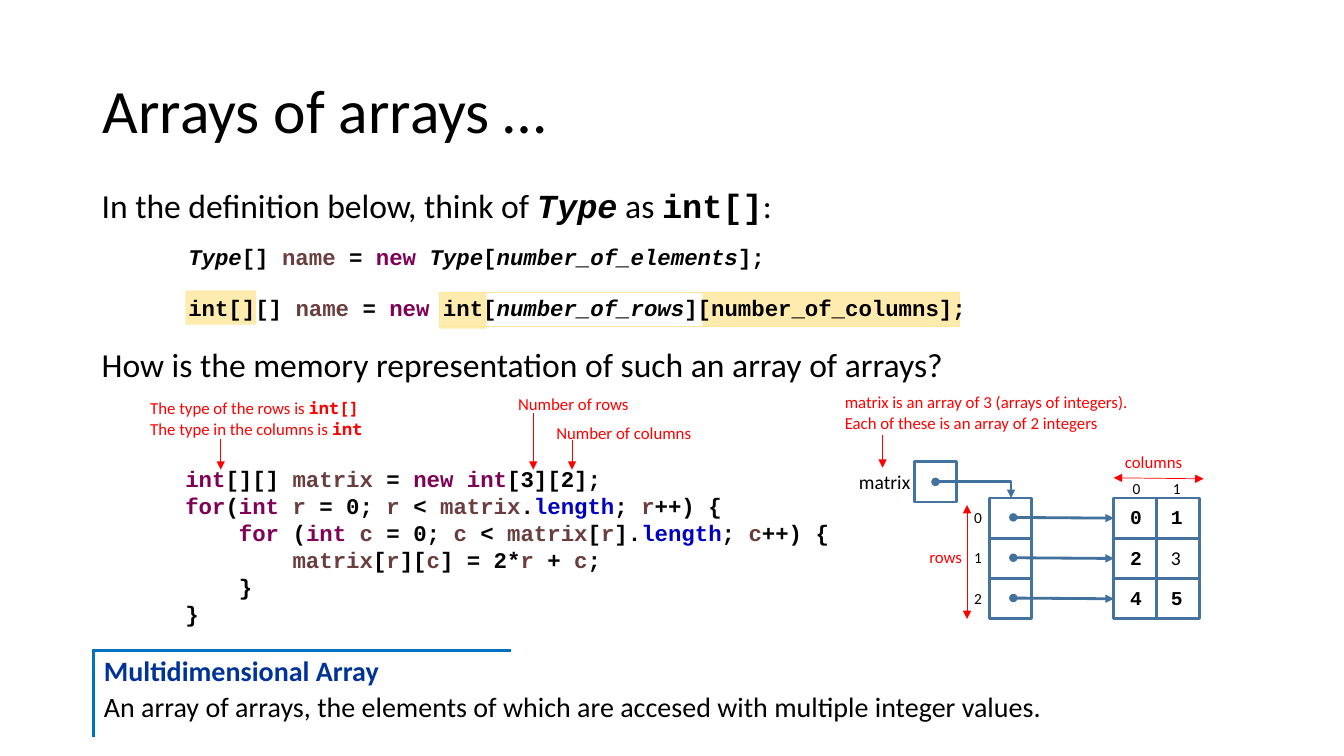
from itertools import groupby

from lxml.etree import SubElement
from pptx import Presentation
from pptx.dml.color import RGBColor
from pptx.enum.shapes import MSO_CONNECTOR, MSO_SHAPE
from pptx.enum.text import MSO_ANCHOR, MSO_AUTO_SIZE, PP_ALIGN
from pptx.oxml.ns import qn
from pptx.util import Pt

COLORS = {
    "text": "000000", "keyword": "7F0055", "variable": "6A3E3E", "field": "0000C0",
    "note": "FF0000", "highlight": "FFE699", "cell": "43739E", "reference": "41719C",
    "rule": "0070C0", "term": "003399",
}
BODY, CODE, MONO = "Calibri", "Courier New", "Noto Sans Mono"

VARIABLES = dict.fromkeys(["matrix", "name", "r", "c"], "variable")
KEYWORDS = dict.fromkeys(["int", "new", "for"], "keyword")
PROGRAM_WORDS = {**VARIABLES, **KEYWORDS, "length": "field"}
DEFINITION_WORDS = {
    "name": "variable", "new": "keyword", "Type": "italic",
    "number_of_elements": "italic", "number_of_rows": "italic",
}

PROGRAM = [
    "int[][] matrix = new int[3][2];",
    "for(int r = 0; r < matrix.length; r++) {",
    "    for (int c = 0; c < matrix[r].length; c++) {",
    "        matrix[r][c] = 2*r + c;",
    "    }",
    "}",
]

CELL_HEIGHT, CELL_WIDTH = 28.8, 30.3
ROWS_LEFT, GRID_LEFT, GRID_TOP = 706.8, 795.6, 355.7
COLUMN_PITCH = 30.9


def rgb(name):
    return RGBColor.from_string(COLORS[name])


def write(paragraph, pieces, size, color):
    for text, style in pieces:
        run = paragraph.add_run()
        run.text = text
        font = run.font
        font.size = Pt(size)
        font.name = style.get("font", BODY)
        font.bold = style.get("bold", False)
        font.italic = style.get("italic", False)
        font.color.rgb = rgb(style.get("color", color))


def highlight(line, words):
    parts = ["".join(part) for _, part in groupby(line, lambda ch: ch.isalnum() or ch == "_")]
    pieces = []
    for kind, part in groupby(parts, lambda word: words.get(word, "text")):
        style = {"font": CODE, "bold": True, "italic": kind == "italic"}
        style["color"] = "text" if kind == "italic" else kind
        pieces.append(("".join(part), style))
    return pieces


def add_text(slide, box, lines, size, color="text", inset=None, align=None, wrap=True):
    frame = slide.shapes.add_textbox(*map(Pt, box)).text_frame
    frame.word_wrap = wrap
    frame.auto_size = MSO_AUTO_SIZE.SHAPE_TO_FIT_TEXT
    if inset is not None:
        frame.margin_left = frame.margin_right = Pt(inset)
        frame.margin_top = frame.margin_bottom = Pt(inset)
    for index, pieces in enumerate(lines):
        paragraph = frame.add_paragraph() if index else frame.paragraphs[0]
        paragraph.alignment = align
        write(paragraph, pieces, size, color)


def add_code(slide, box, lines, words):
    add_text(slide, box, [highlight(line, words) for line in lines], 16)


def add_note(slide, box, *lines):
    add_text(slide, box, [[(line, {})] if isinstance(line, str) else line for line in lines],
             12, "note", inset=0)


def add_index(slide, left, top, index):
    add_text(slide, (left, top, 12.2, 13.7), [[(str(index), {})]], 11,
             inset=0, align=PP_ALIGN.CENTER)


def add_box(slide, box, fill=None, line=None, width=2):
    shape = slide.shapes.add_shape(MSO_SHAPE.RECTANGLE, *map(Pt, box))
    shape.shadow.inherit = False
    if fill:
        shape.fill.solid()
        shape.fill.fore_color.rgb = rgb(fill)
        SubElement(shape.fill._xPr.find(".//" + qn("a:srgbClr")), qn("a:alpha"), val="80000")
    else:
        shape.fill.background()
    if line:
        shape.line.color.rgb = rgb(line)
        shape.line.width = Pt(width)
    else:
        shape.line.fill.background()


def add_cell(slide, left, top):
    add_box(slide, (left, top, CELL_WIDTH, CELL_HEIGHT), line="cell")


def add_arrow(slide, start, end, color="note", width=0.5, head=None, bent=False):
    kind = MSO_CONNECTOR.ELBOW if bent else MSO_CONNECTOR.STRAIGHT
    arrow = slide.shapes.add_connector(kind, *map(Pt, start + end))
    arrow.line.color.rgb = rgb(color)
    arrow.line.width = Pt(width)
    properties = arrow._element.spPr
    if bent:
        properties.find(qn("a:prstGeom")).set("prst", "bentConnector2")
    outline = properties.find(qn("a:ln"))
    if head:
        SubElement(outline, qn("a:headEnd"), type=head)
    SubElement(outline, qn("a:tailEnd"), type="triangle")
    SubElement(properties, qn("a:effectLst"))


def add_reference(slide, start, end, bent=False):
    add_arrow(slide, start, end, "reference", 2, "oval", bent)


def set_borders(cell, shown):
    properties = cell._tc.get_or_add_tcPr()
    for side in ("lnL", "lnR", "lnT", "lnB"):
        border = SubElement(properties, qn("a:" + side), w=str(Pt(2.25)))
        if side in shown:
            fill = SubElement(border, qn("a:solidFill"))
            SubElement(fill, qn("a:srgbClr"), val=COLORS["rule"])
        else:
            SubElement(border, qn("a:noFill"))
    cell.fill.background()


def add_definition(slide):
    table = slide.shapes.add_table(2, 2, Pt(67), Pt(464.4), Pt(686.9), Pt(61.2)).table
    table.first_row = table.horz_banding = False
    for column, width in zip(table.columns, (298.1, 388.8)):
        column.width = Pt(width)
    for row, height in zip(table.rows, (28, 33.2)):
        row.height = Pt(height)
    borders = {(0, 0): ("lnL", "lnT"), (0, 1): (), (1, 0): ("lnL",), (1, 1): ()}
    for position, shown in borders.items():
        set_borders(table.cell(*position), shown)
    term, meaning = table.cell(0, 0), table.cell(1, 0)
    meaning.merge(table.cell(1, 1))
    term.margin_top, meaning.margin_top = Pt(3.6), Pt(0)
    term.margin_bottom = meaning.margin_bottom = Pt(0)
    write(term.text_frame.paragraphs[0], [("Multidimensional Array", {"bold": True})], 20, "term")
    write(meaning.text_frame.paragraphs[0], [(
        "An array of arrays, the elements of which are accesed with multiple integer values.",
        {})], 20, "text")


def add_title(slide):
    title = slide.shapes.title
    title.left, title.top, title.width, title.height = map(Pt, (66.2, 28.8, 828, 104.4))
    title.text_frame.vertical_anchor = MSO_ANCHOR.MIDDLE
    paragraph = title.text_frame.paragraphs[0]
    paragraph.alignment = PP_ALIGN.LEFT
    paragraph.line_spacing = 0.9
    write(paragraph, [("Arrays of arrays …", {})], 44, "text")


def add_memory(slide):
    add_cell(slide, 653, 329.8)
    add_text(slide, (586.8, 335.5, 63.4, 17.3), [[("matrix", {})]], 14,
             inset=0, align=PP_ALIGN.RIGHT)
    for row in range(3):
        top = GRID_TOP + row * CELL_HEIGHT
        add_cell(slide, ROWS_LEFT, top)
        add_index(slide, 692.6, top + 7.2, row)
        for column in range(2):
            value = 2 * row + column
            add_cell(slide, GRID_LEFT + column * COLUMN_PITCH, top)
            style = {} if value == 3 else {"font": CODE, "bold": True}
            add_text(slide, (807.3 + column * 29, top + 5.3, 8.6, 17.3),
                     [[(str(value), style)]], 14, inset=0, wrap=False)
        add_reference(slide, (723.8, top + 13.9), (GRID_LEFT, top + 14.4))
    for column in range(2):
        add_index(slide, 805.7 + column * 28.8, 342, column)
    add_reference(slide, (668.2, 344.2), (722.2, GRID_TOP), bent=True)
    add_note(slide, (663.8, 390.2, 28.8, 14.4), "rows")
    add_arrow(slide, (690.8, 360.7), (690.8, 442.1), head="triangle")
    add_note(slide, (803.5, 322.6, 46.8, 14.4), "columns")
    add_arrow(slide, (795.6, 341.3), (859.7, 342), head="triangle")


def main():
    deck = Presentation()
    deck.slide_width, deck.slide_height = Pt(960), Pt(540)
    slide = deck.slides.add_slide(deck.slide_layouts[5])
    add_title(slide)

    for box in [(132.5, 207.4, 50.4, 24.5), (313.9, 208.8, 33.8, 25.9), (501.8, 208.8, 183.6, 24.5)]:
        add_box(slide, box, fill="highlight")
    add_box(slide, (313.9, 208.8, 371.5, 24.5), line="highlight", width=1)
    add_code(slide, (127.4, 206.6, 583.9, 26.6),
             ["int[][] name = new int[number_of_rows][number_of_columns];"], DEFINITION_WORDS)
    add_code(slide, (127.4, 169.9, 583.9, 26.6),
             ["Type[] name = new Type[number_of_elements];"], DEFINITION_WORDS)
    add_code(slide, (125.3, 329, 486, 123.8), PROGRAM, PROGRAM_WORDS)

    code = {"font": CODE, "bold": True}
    add_text(slide, (65.5, 128.9, 834.5, 36), [[
        ("In the definition below, think of ", {}), ("Type", {**code, "italic": True}),
        (" as ", {}), ("int[]", code), (":", {})]], 24)
    add_text(slide, (65.5, 241.9, 834.5, 36), [[
        ("How is the memory representation of such an array of arrays?", {})]], 24)

    add_memory(slide)

    mono = {"font": MONO, "bold": True}
    add_note(slide, (107.3, 284.4, 173.5, 28.8),
             [("The type of the rows is ", {}), ("int[]", mono)],
             [("The type in the columns is ", {}), ("int", mono)])
    add_note(slide, (370.1, 281.5, 79.9, 14.4), "Number of rows")
    add_note(slide, (397.4, 301.7, 105.8, 14.4), "Number of columns")
    add_note(slide, (603.4, 280.1, 234, 28.8),
             "matrix is an array of 3 (arrays of integers).",
             "Each of these is an array of 2 integers")
    for left, top, bottom in [(157.7, 313.9, 335.5), (380.9, 295.2, 335.5),
                              (408.6, 314.6, 335.5), (630.4, 311, 334.1)]:
        add_arrow(slide, (left, top), (left, bottom))

    add_definition(slide)
    deck.save("out.pptx")


if __name__ == "__main__":
    main()
